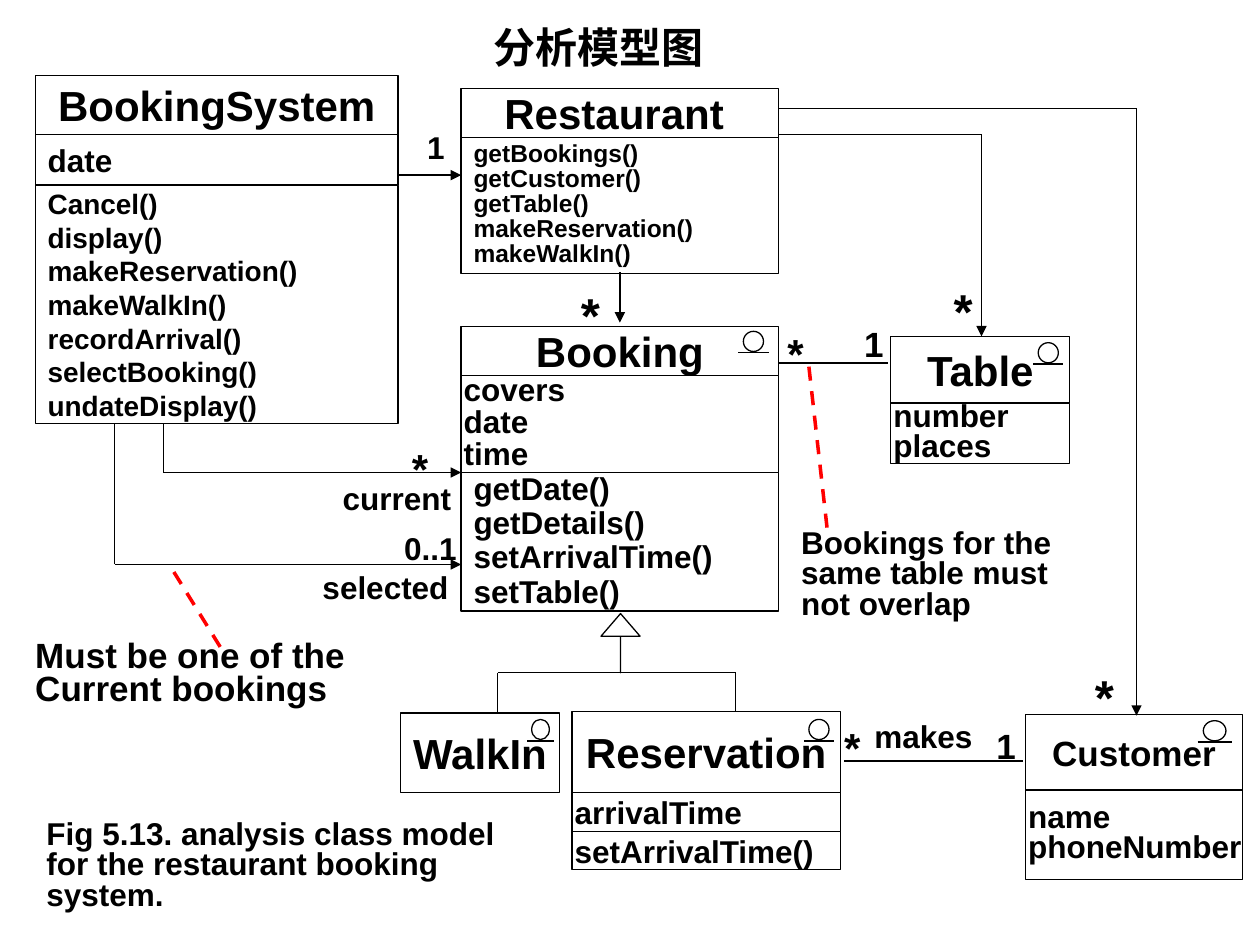
from dataclasses import dataclass
from itertools import pairwise

from lxml.etree import SubElement
from pptx import Presentation
from pptx.dml.color import RGBColor
from pptx.enum.dml import MSO_LINE
from pptx.enum.shapes import MSO_CONNECTOR, MSO_SHAPE
from pptx.enum.text import MSO_ANCHOR, MSO_AUTO_SIZE, PP_ALIGN
from pptx.oxml.ns import qn
from pptx.util import Inches, Pt


@dataclass(frozen=True)
class Theme:
    font: str = "Arial"
    ink: RGBColor = RGBColor(0, 0, 0)
    paper: RGBColor = RGBColor(255, 255, 255)
    alert: RGBColor = RGBColor(255, 0, 0)
    star: int = 28
    head: int = 24
    large: int = 20
    body: int = 18
    small: int = 16
    tiny: int = 14
    thin: float = 0.75
    thick: float = 2


WIDE = (0.1, 0.05, 0.1, 0.05)
TIGHT = (0.02, 0, 0, 0)
NONE = (0, 0, 0, 0)


class Diagram:
    def __init__(self, slide, theme):
        self.slide = slide
        self.theme = theme

    def letter(self, frame, text, size, inset=WIDE, align=PP_ALIGN.LEFT,
               spacing=None, anchor=MSO_ANCHOR.TOP, wrap=True):
        frame.text = text
        frame.word_wrap = wrap
        frame.auto_size = MSO_AUTO_SIZE.NONE
        frame.vertical_anchor = anchor
        (frame.margin_left, frame.margin_top,
         frame.margin_right, frame.margin_bottom) = map(Inches, inset)
        for para in frame.paragraphs:
            para.alignment = align
            if spacing:
                para.line_spacing = spacing
            for run in para.runs:
                run.font.name = self.theme.font
                run.font.size = Pt(size)
                run.font.bold = True
                run.font.color.rgb = self.theme.ink

    def title(self, text, *box):
        title = self.slide.shapes.title
        title.left, title.top, title.width, title.height = map(Inches, box)
        self.letter(title.text_frame, text, self.theme.head)

    def shape(self, kind, *box, parent=None):
        shapes = (parent or self.slide).shapes
        shape = shapes.add_shape(kind, *map(Inches, box))
        shape.shadow.inherit = False
        shape.fill.solid()
        shape.fill.fore_color.rgb = self.theme.paper
        shape.line.color.rgb = self.theme.ink
        shape.line.width = Pt(self.theme.thin)
        return shape

    def entity(self, left, top, width, name, height, *rows, size=None):
        """Stack a name box and rows of (height, text, size, inset, spacing)."""
        head = (height, name, size or self.theme.head, WIDE, None)
        for index, (tall, text, points, inset, spacing) in enumerate((head, *rows)):
            box = self.shape(MSO_SHAPE.RECTANGLE, left, top, width, tall)
            align = PP_ALIGN.LEFT if index else PP_ALIGN.CENTER
            self.letter(box.text_frame, text, points, inset, align, spacing,
                        MSO_ANCHOR.MIDDLE, wrap=False)
            top += tall

    def line(self, start, end, arrow=False, dashed=False, parent=None):
        line = (parent or self.slide).shapes.add_connector(
            MSO_CONNECTOR.STRAIGHT, *map(Inches, (*start, *end)))
        line.line.color.rgb = self.theme.alert if dashed else self.theme.ink
        line.line.width = Pt(self.theme.thick if dashed else self.theme.thin)
        if dashed:
            line.line.dash_style = MSO_LINE.DASH
        props = line.element.spPr
        if arrow:
            SubElement(props.find(qn("a:ln")), qn("a:tailEnd"), type="triangle")
        SubElement(props, qn("a:effectLst"))

    def route(self, *points, arrow=False):
        for start, end in pairwise(points):
            self.line(start, end, arrow and end == points[-1])

    def label(self, text, size, *box, inset=NONE, spacing=None):
        frame = self.slide.shapes.add_textbox(*map(Inches, box)).text_frame
        self.letter(frame, text, size, inset, spacing=spacing)

    def icon(self, left, top, width=0.16):
        """Entity mark: a circle resting on a line."""
        group = self.slide.shapes.add_group_shape()
        self.shape(MSO_SHAPE.OVAL, left, top, width, 0.16, parent=group)
        base = top + 0.17
        over = width / 4
        self.line((left - over, base), (left + width + over, base), parent=group)


def main():
    deck = Presentation()
    deck.slide_width, deck.slide_height = Inches(10), Inches(7.5)
    theme = Theme()
    art = Diagram(deck.slides.add_slide(deck.slide_layouts[5]), theme)
    art.title("分析模型图", 3.82, 0.12, 2.05, 0.5)

    # Classes
    art.entity(3.66, 0.7, 2.52, "Restaurant ", 0.39,
               (1.08, "getBookings()\ngetCustomer()\ngetTable()\n"
                "makeReservation()\nmakeWalkIn()", theme.tiny, WIDE, 0.85))
    art.entity(3.66, 2.59, 2.52, "Booking", 0.39,
               (0.77, "covers\ndate\ntime", theme.body, TIGHT, 0.85),
               (1.1, "getDate()\ngetDetails()\nsetArrivalTime()\nsetTable()",
                theme.body, WIDE, 0.9))
    art.entity(7.07, 2.67, 1.42, "Table", 0.53,
               (0.48, "number\nplaces", theme.body, TIGHT, 0.8))
    art.entity(3.18, 5.66, 1.26, "WalkIn", 0.63)
    art.entity(4.54, 5.65, 2.13, "Reservation", 0.64,
               (0.31, "arrivalTime", theme.body, TIGHT, None),
               (0.3, "setArrivalTime()", theme.body, TIGHT, None))
    art.entity(8.14, 5.67, 1.72, "Customer", 0.6,
               (0.71, "name\nphoneNumber", theme.body, TIGHT, 0.8),
               size=theme.large)

    # Inheritance
    art.route((3.95, 5.66), (3.95, 5.34), (5.84, 5.34), (5.84, 5.65))
    parent = art.shape(MSO_SHAPE.UP_ARROW, 4.77, 4.87, 0.31, 0.47)
    parent.adjustments[0] = 0
    parent.adjustments[1] = 0.58

    # Associations
    for points in (
        [(2.8, 1.39), (3.66, 1.39)],
        [(4.92, 2.16), (4.92, 2.56)],
        [(1.3, 3.3), (1.3, 3.75), (3.66, 3.75)],
        [(0.91, 3.3), (0.91, 4.48), (3.66, 4.48)],
        [(6.18, 1.07), (7.79, 1.07), (7.79, 2.67)],
        [(6.18, 0.86), (9.02, 0.86), (9.02, 5.68)],
    ):
        art.route(*points, arrow=True)
    art.line((6.18, 2.88), (7.05, 2.88))
    art.line((6.7, 6.04), (8.12, 6.04))

    # Multiplicities and roles
    for text, size, *box in (
        ("1", theme.body, 3.39, 1.02, 0.16, 0.3),
        ("*", theme.star, 4.61, 2.26, 0.16, 0.47),
        ("*", theme.head, 6.25, 2.6, 0.14, 0.4),
        ("*", theme.head, 3.27, 3.51, 0.16, 0.4),
        ("*", theme.star, 8.69, 5.29, 0.16, 0.47),
        ("*", theme.head, 6.7, 5.73, 0.16, 0.4),
        ("current", theme.body, 2.72, 3.8, 0.87, 0.3),
        ("selected", theme.body, 2.56, 4.51, 1.26, 0.3),
        ("makes", theme.body, 6.94, 5.69, 0.79, 0.3),
    ):
        art.label(text, size, *box)
    for text, size, *box in (
        ("1", theme.large, 6.76, 2.51, 0.39, 0.44),
        ("1", theme.large, 7.81, 5.7, 0.39, 0.44),
        ("0..1", theme.body, 3.11, 4.15, 0.63, 0.4),
        ("*", theme.star, 7.47, 2.18, 0.39, 0.57),
    ):
        art.label(text, size, *box, inset=WIDE)

    # Constraints and caption
    art.label("Must be one of the\nCurrent bookings", theme.large,
              0.28, 5.09, 2.76, 0.53, spacing=0.8)
    art.label("Bookings for the same table must not overlap", theme.body,
              6.26, 4.16, 2.28, 0.82, inset=WIDE, spacing=0.8)
    art.label("Fig 5.13. analysis class model for the restaurant booking system.",
              theme.body, 0.27, 6.47, 3.78, 0.82, inset=WIDE, spacing=0.8)
    art.line((1.38, 4.54), (1.77, 5.17), dashed=True)
    art.line((6.42, 2.91), (6.57, 4.24), dashed=True)

    # Entity marks
    for spot in ((5.9, 2.63), (8.24, 2.72), (4.22, 5.71, 0.14),
                 (6.42, 5.71), (9.55, 5.72, 0.18)):
        art.icon(*spot)

    # The system class covers the ends of its lines
    art.entity(0.28, 0.6, 2.88, "BookingSystem", 0.47,
               (0.4, "date", theme.body, WIDE, None),
               (1.89, "Cancel()\ndisplay()\nmakeReservation()\nmakeWalkIn()\n"
                "recordArrival()\nselectBooking()\nundateDisplay()",
                theme.small, WIDE, None))

    deck.save("out.pptx")


if __name__ == "__main__":
    main()
